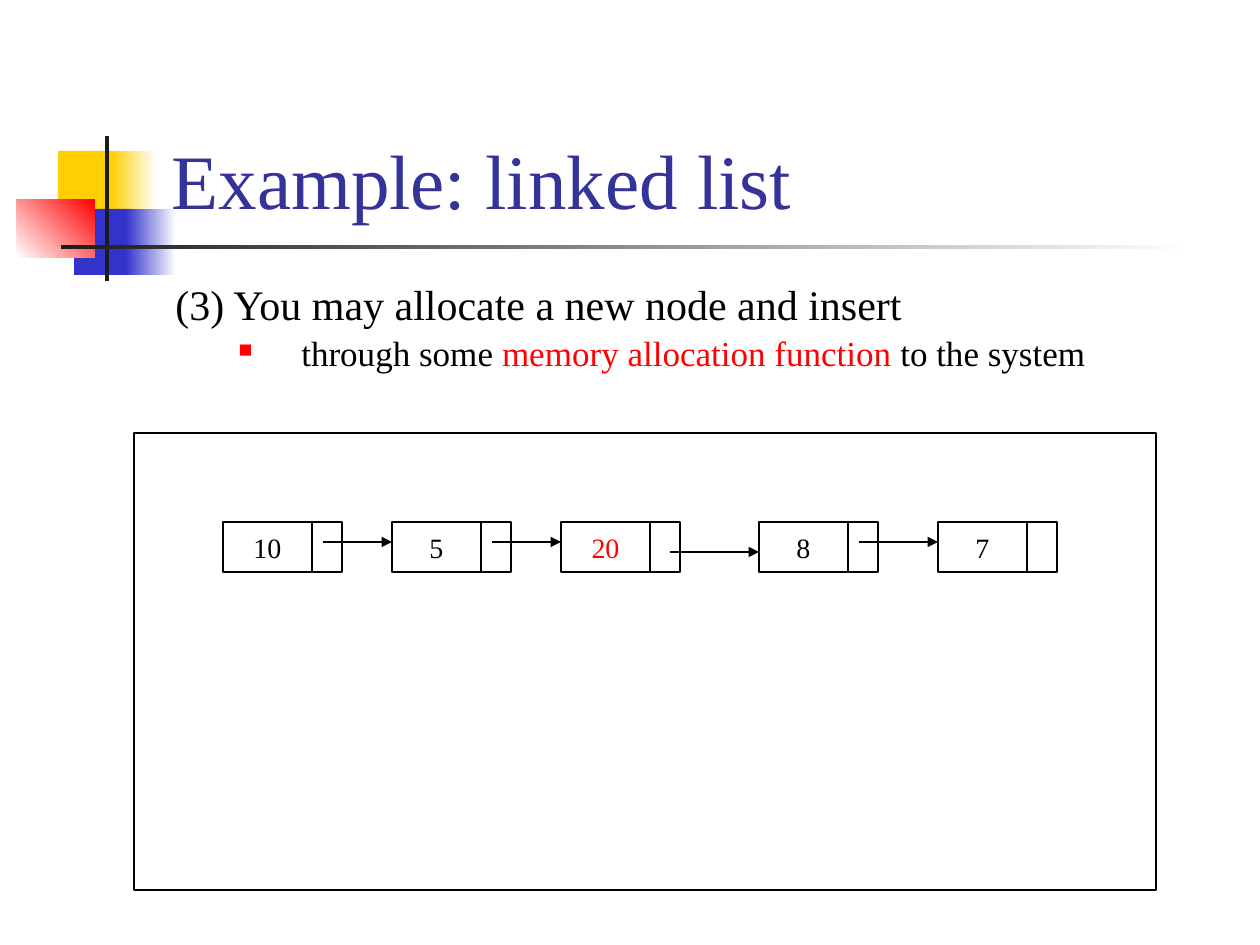
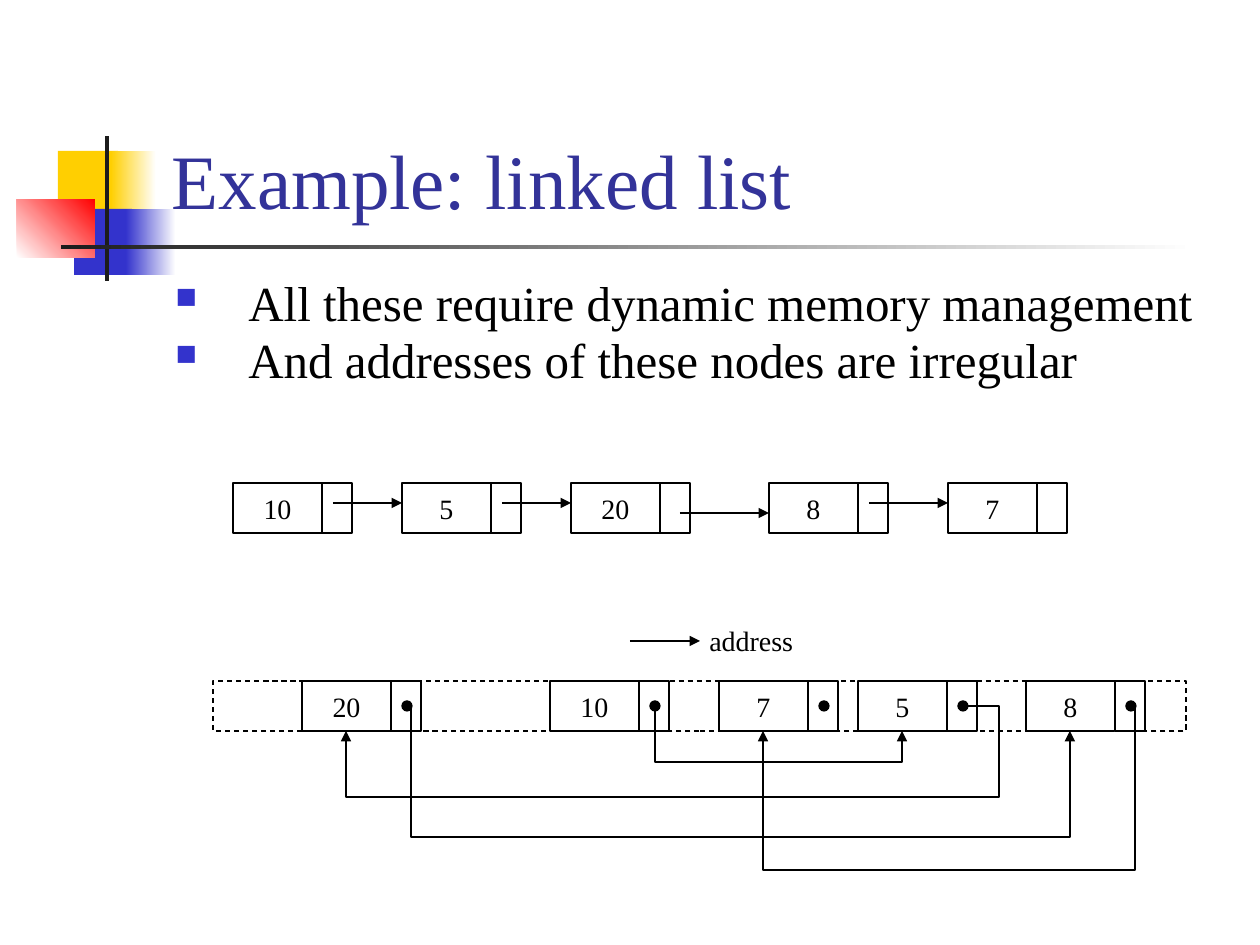
from lxml.etree import SubElement
from pptx import Presentation
from pptx.dml.color import RGBColor
from pptx.enum.dml import MSO_LINE
from pptx.enum.shapes import MSO_CONNECTOR, MSO_SHAPE
from pptx.enum.text import MSO_ANCHOR, MSO_AUTO_SIZE, PP_ALIGN
from pptx.oxml.ns import qn
from pptx.util import Pt

PX = 7257  # EMU in one px, at 126 px to the inch
FONT = "Times New Roman"
BLACK, WHITE, RED, BLUE = "000000", "FFFFFF", "FF0000", "3333CC"
YELLOW, CHARCOAL, TITLE_BLUE = "FFCF01", "1C1C1C", "333399"
VALUE_WIDTH, LINK_WIDTH, NODE_HEIGHT = 89, 30, 50


def paint(shape, fill=None, line=None, angle=0, arrow=False):
    """Colour a shape or connector; a pair of fill colours makes a gradient."""
    if hasattr(shape, "fill"):
        if fill is None:
            shape.fill.background()
        elif isinstance(fill, tuple):
            shape.fill.gradient()
            shape.fill.gradient_angle = angle
            for stop, color in zip(shape.fill.gradient_stops, fill):
                stop.color.rgb = RGBColor.from_string(color)
        else:
            shape.fill.solid()
            shape.fill.fore_color.rgb = RGBColor.from_string(fill)
    if line:
        shape.line.color.rgb = RGBColor.from_string(line)
        shape.line.width = Pt(0.75)
    else:
        shape.line.fill.background()
    if arrow:
        SubElement(shape.line._get_or_add_ln(), qn("a:tailEnd"), type="triangle")
    if hasattr(shape, "shadow"):
        shape.shadow.inherit = False
    else:
        SubElement(shape._element.spPr, qn("a:effectLst"))


def add_run(paragraph, text, size, color=BLACK):
    run = paragraph.add_run()
    run.text = text
    run.font.name = FONT
    run.font.size = Pt(size)
    run.font.color.rgb = RGBColor.from_string(color)


presentation = Presentation()
presentation.slide_width = 1260 * PX
presentation.slide_height = 945 * PX
layout = presentation.slide_layouts[5]

# Text of each slide: line spacing, then (left margin, hanging indent, bullet colour,
# bullet size in %, text size, runs) for each paragraph
bodies = [
    (0.9, [
        (73, 73, None, None, 24, [("(3) You may allocate a new node and insert", BLACK)]),
        (126, 63, RED, 55, 20, [("through some ", BLACK),
                                ("memory allocation function", RED),
                                (" to the system", BLACK)]),
    ]),
    (0.8, [
        (73, 73, BLUE, 60, 28, [("All these require dynamic memory management", BLACK)]),
        (73, 73, BLUE, 60, 28, [("And addresses of these nodes are irregular", BLACK)]),
    ]),
]
slides = []
for line_spacing, paragraphs in bodies:
    slide = presentation.slides.add_slide(layout)
    slides.append(slide)
    title = slide.shapes.title
    title.left, title.top, title.width, title.height = (n * PX for n in (159, 29, 1073, 202))
    title.text_frame.vertical_anchor = MSO_ANCHOR.BOTTOM
    title.text_frame.auto_size = MSO_AUTO_SIZE.NONE
    title.text_frame.paragraphs[0].alignment = PP_ALIGN.LEFT
    add_run(title.text_frame.paragraphs[0], "Example: linked list", 44, TITLE_BLUE)

    body = slide.shapes.add_textbox(*(n * PX for n in (163, 278, 1071, 125))).text_frame
    body.word_wrap = True
    for index, (margin, hanging, bullet_color, bullet_size, size, runs) in enumerate(paragraphs):
        paragraph = body.add_paragraph() if index else body.paragraphs[0]
        properties = paragraph._p.get_or_add_pPr()
        properties.set("marL", str(margin * PX))
        properties.set("indent", str(-hanging * PX))
        if bullet_color:
            color = SubElement(properties, qn("a:buClr"))
            SubElement(color, qn("a:srgbClr"), val=bullet_color)
            SubElement(properties, qn("a:buSzPct"), val=str(bullet_size * 1000))
            SubElement(properties, qn("a:buChar"), char="■")
        paragraph.line_spacing = line_spacing
        if index:
            paragraph.space_before = Pt(size * 0.2)
        for text, color in runs:
            add_run(paragraph, text, size, color)

insert_slide, memory_slide = slides

# Decoration shared through the layout: drawn on a slide, then moved to the layout
decorations = [
    (58, 151, 60, 66, YELLOW, 0),
    (111, 151, 45, 66, (YELLOW, WHITE), 0),
    (74, 209, 58, 66, BLUE, 0),
    (126, 209, 50, 66, (BLUE, WHITE), 0),
    (17, 199, 78, 59, (WHITE, RED), 45),
    (105, 136, 4, 145, CHARCOAL, 0),
    (61, 245, 1134, 4, (CHARCOAL, WHITE), 0),
]
for *box, fill, angle in decorations:
    band = insert_slide.shapes.add_shape(MSO_SHAPE.RECTANGLE, *(n * PX for n in box))
    paint(band, fill, angle=angle)
    layout.shapes._spTree.append(band._element)

# Frames behind the nodes
frame = insert_slide.shapes.add_shape(
    MSO_SHAPE.RECTANGLE, *(n * PX for n in (134, 433, 1022, 457)))
paint(frame, line=BLACK)
memory = memory_slide.shapes.add_shape(
    MSO_SHAPE.RECTANGLE, *(n * PX for n in (213, 681, 973, NODE_HEIGHT)))
paint(memory, line=BLACK)
memory.line.dash_style = MSO_LINE.DASH

# Nodes: value and left edge; the chain is the same on both slides
chain = [("10", 0), ("5", 169), ("20", 338), ("8", 536), ("7", 715)]
cells = [("20", 302), ("10", 550), ("7", 719), ("5", 858), ("8", 1026)]
rows = [
    (insert_slide, 223, 522, chain, "20"),
    (memory_slide, 233, 483, chain, None),
    (memory_slide, 0, 681, cells, None),
]
for slide, left, top, nodes, new_value in rows:
    for value, offset in nodes:
        value_left = left + offset
        value_box, link_box = (
            slide.shapes.add_shape(
                MSO_SHAPE.RECTANGLE, x * PX, top * PX, width * PX, NODE_HEIGHT * PX)
            for x, width in ((value_left, VALUE_WIDTH),
                             (value_left + VALUE_WIDTH, LINK_WIDTH)))
        paint(value_box, line=BLACK)
        paint(link_box, line=BLACK)
        value_box.text_frame.word_wrap = False
        value_box.text_frame.vertical_anchor = MSO_ANCHOR.MIDDLE
        paragraph = value_box.text_frame.paragraphs[0]
        paragraph.alignment = PP_ALIGN.CENTER
        add_run(paragraph, value, 16, RED if value == new_value else BLACK)

# Straight arrows: slide, start x, end x, y
arrows = [(memory_slide, 630, 700, 641)]
for slide, left, top, nodes, _ in rows[:2]:
    for (value, offset), (_, next_offset) in zip(nodes, nodes[1:]):
        start, drop = (109, 30) if value == "20" else (100, 20)
        arrows.append((slide, left + offset + start, left + next_offset, top + drop))
for slide, start, end, y in arrows:
    arrow = slide.shapes.add_connector(
        MSO_CONNECTOR.STRAIGHT, start * PX, y * PX, end * PX, y * PX)
    paint(arrow, line=BLACK, arrow=True)

address = memory_slide.shapes.add_textbox(*(n * PX for n in (697, 617, 110, 47))).text_frame
address.word_wrap = False
add_run(address.paragraphs[0], "address", 16)

# Pointer dots, and the bent arrows that run below the memory strip
for _, left in cells:
    dot = memory_slide.shapes.add_shape(
        MSO_SHAPE.OVAL, (left + 100) * PX, 701 * PX, 10 * PX, 10 * PX)
    paint(dot, BLACK, BLACK)

cell_lefts = dict(cells)
pointers = [
    ("5", 762, [(655, 711)]),
    ("20", 797, [(967, 706), (999, 706)]),
    ("8", 837, [(411, 709)]),
    ("7", 870, [(1135, 709)]),
]
for target, bottom, start_points in pointers:
    target_x = cell_lefts[target] + VALUE_WIDTH // 2
    turn_x = start_points[-1][0]
    points = start_points + [(turn_x, bottom), (target_x, bottom),
                             (target_x, 681 + NODE_HEIGHT)]
    builder = memory_slide.shapes.build_freeform(*points[0], scale=PX)
    builder.add_line_segments(points[1:], close=False)
    paint(builder.convert_to_shape(), line=BLACK, arrow=True)

presentation.save("out.pptx")
